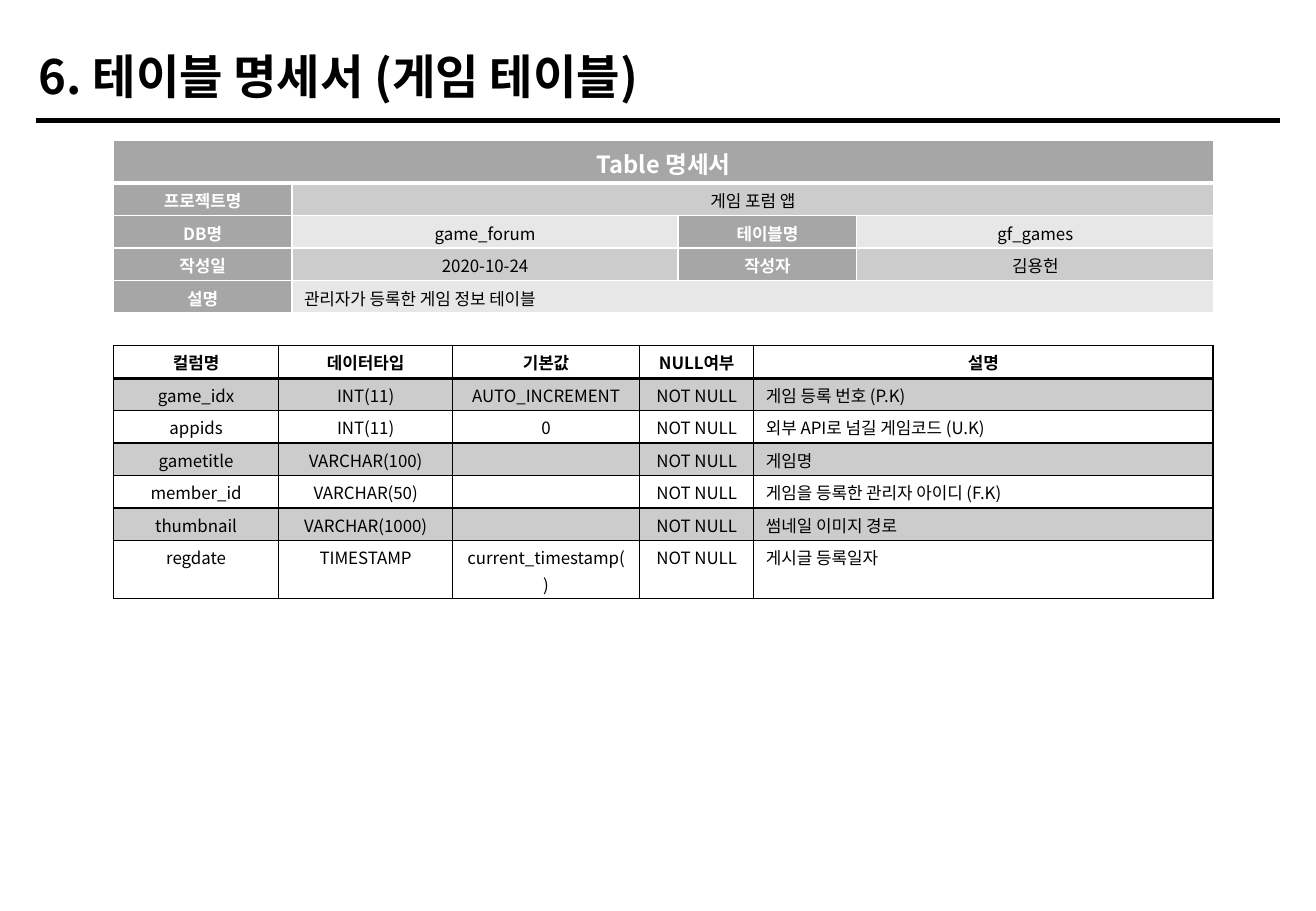
from lxml import etree
from pptx import Presentation
from pptx.dml.color import RGBColor
from pptx.enum.shapes import MSO_CONNECTOR
from pptx.enum.text import MSO_ANCHOR, PP_ALIGN
from pptx.oxml.ns import qn
from pptx.util import Pt

STRAIGHT = MSO_CONNECTOR.STRAIGHT
LEFT, CENTER = PP_ALIGN.LEFT, PP_ALIGN.CENTER
TOP, MIDDLE = MSO_ANCHOR.TOP, MSO_ANCHOR.MIDDLE
FONT = "Noto Sans CJK KR"
BLACK, WHITE = "000000", "FFFFFF"
DARK, MID, LIGHT = "A6A6A6", "CCCCCC", "E7E7E7"
TABLE_LEFT = 67.2

SUMMARY = [
    ["Table 명세서", "", "", ""],
    ["프로젝트명", "게임 포럼 앱", "", ""],
    ["DB명", "game_forum", "테이블명", "gf_games"],
    ["작성일", "2020-10-24", "작성자", "김용헌"],
    ["설명", "관리자가 등록한 게임 정보 테이블", "", ""],
]
COLUMNS = [
    ["컬럼명", "데이터타입", "기본값", "NULL여부", "설명"],
    ["game_idx", "INT(11)", "AUTO_INCREMENT", "NOT NULL", "게임 등록 번호 (P.K)"],
    ["appids", "INT(11)", "0", "NOT NULL", "외부 API로 넘길 게임코드 (U.K)"],
    ["gametitle", "VARCHAR(100)", "", "NOT NULL", "게임명"],
    ["member_id", "VARCHAR(50)", "", "NOT NULL", "게임을 등록한 관리자 아이디 (F.K)"],
    ["thumbnail", "VARCHAR(1000)", "", "NOT NULL", "썸네일 이미지 경로"],
    ["regdate", "TIMESTAMP", "current_timestamp()", "NOT NULL", "게시글 등록일자"],
]


def rgb(color):
    return RGBColor.from_string(color)


def format_text(p, text, size, color=BLACK, bold=False, align=LEFT):
    p.alignment = align
    p.line_spacing = 1.1
    font = p.font
    font.name, font.size, font.bold = FONT, Pt(size), bold
    font.color.rgb = rgb(color)
    etree.SubElement(font._rPr, qn("a:ea"), typeface=FONT)
    if text:
        p.add_run().text = text
    else:
        etree.SubElement(p._p, qn("a:endParaRPr"), sz=str(size * 100))


def add_title(s, text):
    title = s.shapes.title
    title.left, title.top, title.width, title.height = Pt(15.8), Pt(20.9), Pt(510.5), Pt(44.6)
    tf = title.text_frame
    tf.vertical_anchor = TOP
    format_text(tf.paragraphs[0], text, 28, bold=True)


def add_rule(s, x1, x2, y):
    rule = s.shapes.add_connector(STRAIGHT, Pt(x1), Pt(y), Pt(x2), Pt(y))
    rule.line.color.rgb = rgb(BLACK)
    rule.line.width = Pt(3)
    etree.SubElement(rule._element.spPr, qn("a:effectLst"))


def set_borders(cell, color, bottom=1, top=1):
    tcPr = cell._tc.get_or_add_tcPr()
    for side, width in (("L", 1), ("R", 1), ("T", top), ("B", bottom)):
        ln = etree.SubElement(tcPr, qn(f"a:ln{side}"), w=str(Pt(width)))
        fill = etree.SubElement(ln, qn("a:solidFill"))
        etree.SubElement(fill, qn("a:srgbClr"), val=color)


def add_grid(s, top, widths, heights):
    table = s.shapes.add_table(len(heights), len(widths), Pt(TABLE_LEFT), Pt(top),
                               Pt(sum(widths)), Pt(sum(heights))).table
    table.first_row = table.horz_banding = False
    for column, width in zip(table.columns, widths):
        column.width = Pt(width)
    for row, height in zip(table.rows, heights):
        row.height = Pt(height)
    return table


def fill_cell(cell, text, fill, anchor, border, header_border, row, **style):
    set_borders(cell, border, bottom=header_border if row == 0 else 1,
                top=header_border if row == 1 else 1)
    if fill:
        cell.fill.solid()
        cell.fill.fore_color.rgb = rgb(fill)
    else:
        cell.fill.background()
    cell.margin_top = cell.margin_bottom = Pt(1.4)
    cell.vertical_anchor = anchor
    format_text(cell.text_frame.paragraphs[0], text, **style)


def add_summary(s):
    table = add_grid(s, 83.2, [105.8, 229, 105.8, 211.7], [23.6] + [19.3] * 4)
    for r, row in enumerate(SUMMARY):
        for c, text in enumerate(row):
            label = r == 0 or c == 0 or (c == 2 and r in (2, 3))
            fill = DARK if label else MID if r % 2 else LIGHT
            fill_cell(table.cell(r, c), text, fill, MIDDLE, WHITE, 3, r,
                      size=10 if r else 14, color=WHITE if label else BLACK,
                      bold=label, align=LEFT if (r, c) == (4, 1) else CENTER)
    for r, first in ((0, 0), (1, 1), (4, 1)):
        table.cell(r, first).merge(table.cell(r, 3))


def add_columns(s):
    table = add_grid(s, 204.8, [98, 103, 110.9, 67.7, 272.2], [19.3] * 7)
    for r, row in enumerate(COLUMNS):
        for c, text in enumerate(row):
            fill_cell(table.cell(r, c), text, MID if r % 2 else None, TOP, BLACK, 2, r,
                      size=10, bold=r == 0, align=LEFT if r and c == 4 else CENTER)


def main():
    prs = Presentation()
    prs.slide_width, prs.slide_height = Pt(780), Pt(540)
    s = prs.slides.add_slide(prs.slide_layouts[5])
    add_rule(s, 21.6, 758.9, 71.3)
    add_title(s, "6. 테이블 명세서 (게임 테이블)")
    add_summary(s)
    add_columns(s)
    prs.save("out.pptx")


if __name__ == "__main__":
    main()
